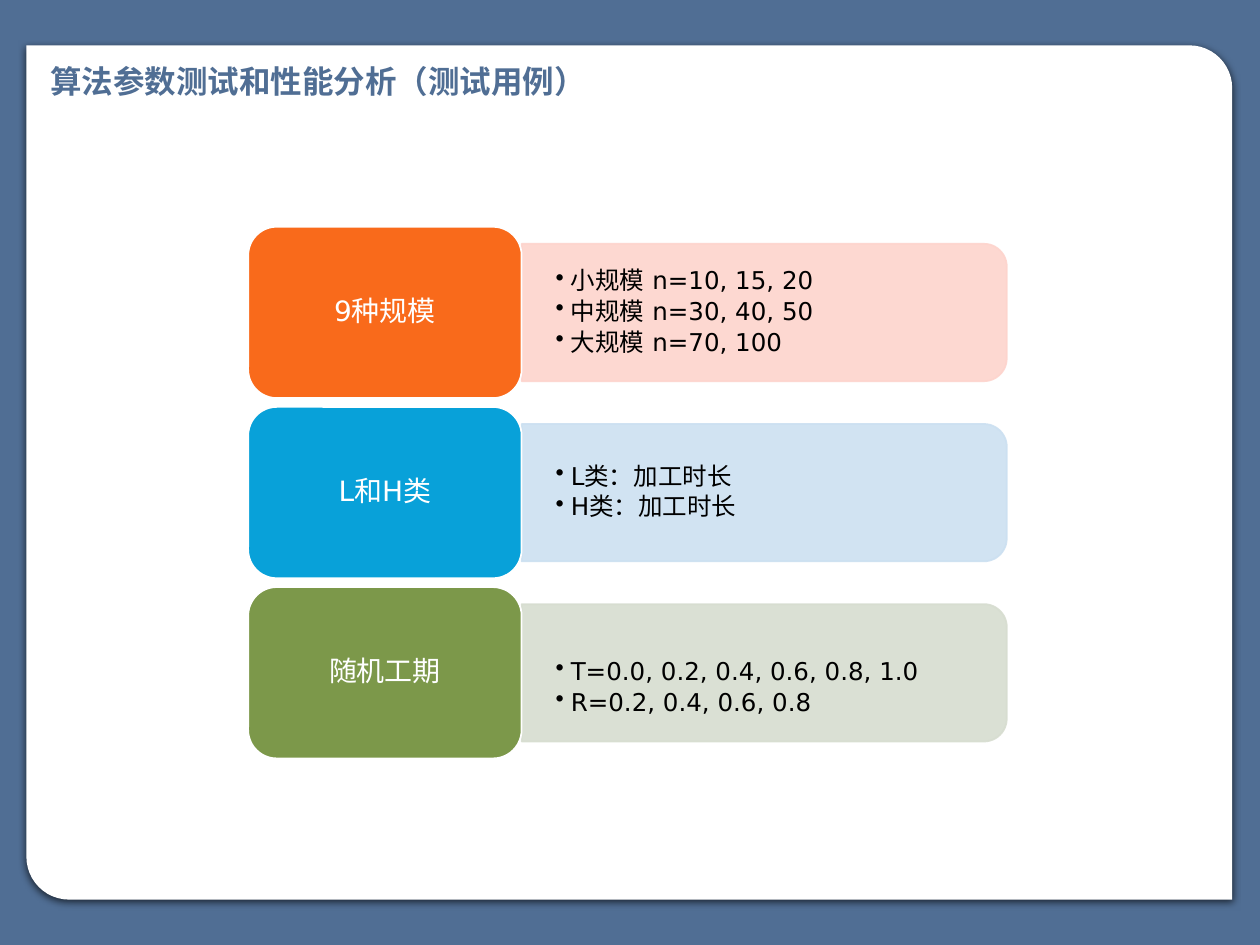
from dataclasses import dataclass

from lxml import etree
from pptx import Presentation
from pptx.dml.color import RGBColor
from pptx.enum.shapes import MSO_SHAPE
from pptx.enum.text import MSO_ANCHOR, MSO_AUTO_SIZE, PP_ALIGN
from pptx.oxml.ns import qn
from pptx.util import Inches, Pt

SHEET_SHAPE = MSO_SHAPE.ROUND_2_DIAG_RECTANGLE
PANEL_SHAPE = MSO_SHAPE.ROUND_2_SAME_RECTANGLE
CARD_SHAPE = MSO_SHAPE.ROUNDED_RECTANGLE
MIDDLE = MSO_ANCHOR.MIDDLE
TOP = MSO_ANCHOR.TOP
LEFT = PP_ALIGN.LEFT
CENTER = PP_ALIGN.CENTER
FIT_SHAPE = MSO_AUTO_SIZE.SHAPE_TO_FIT_TEXT
TITLE_ONLY = 5


@dataclass(frozen=True)
class Theme:
    font: str = "DejaVu Sans"
    slate: str = "506E94"
    white: str = "FFFFFF"
    black: str = "000000"
    title_size: int = 18
    card_size: int = 16
    list_size: int = 14
    panel_opacity: int = 90
    shadow_opacity: int = 63


@dataclass(frozen=True)
class TestGroup:
    label: str
    color: str
    tint: str
    items: tuple
    list_drop: float = 0


GROUPS = (
    TestGroup("9种规模", "F96A1B", "FDD4CD",
              ("小规模 n=10, 15, 20", "中规模 n=30, 40, 50", "大规模 n=70, 100")),
    TestGroup("L和H类", "08A1D9", "CCE0F1", ("L类：加工时长", "H类：加工时长")),
    TestGroup("随机工期", "7C984A", "D7DDD0",
              ("T=0.0, 0.2, 0.4, 0.6, 0.8, 1.0", "R=0.2, 0.4, 0.6, 0.8"), 0.12),
)

CARD_LEFT, CARD_TOP = 1.97, 1.8
CARD_WIDTH, CARD_HEIGHT = 2.17, 1.36
ROW_PITCH = 1.43
PANEL_WIDTH, PANEL_HEIGHT = 3.85, 1.09
LIST_WIDTH, LIST_HEIGHT = 3.8, 0.98


class SlideBuilder:
    def __init__(self, slide, theme):
        self.slide = slide
        self.theme = theme

    def background(self):
        fill = self.slide.background.fill
        fill.solid()
        fill.fore_color.rgb = RGBColor.from_string(self.theme.slate)

    def shape(self, kind, left, top, width, height, color, line=None):
        shape = self.slide.shapes.add_shape(
            kind, Inches(left), Inches(top), Inches(width), Inches(height))
        shape.shadow.inherit = False
        shape.fill.solid()
        shape.fill.fore_color.rgb = RGBColor.from_string(color)
        if line:
            shape.line.color.rgb = RGBColor.from_string(line)
            shape.line.width = Pt(1)
        else:
            shape.line.fill.background()
        return shape

    def set_opacity(self, color, percent):
        etree.SubElement(color, qn("a:alpha"), val=str(percent * 1000))

    def sheet(self, left, top, width, height):
        sheet = self.shape(SHEET_SHAPE, left, top, width, height, self.theme.white)
        sheet.adjustments[0] = 0
        sheet.adjustments[1] = 0.05
        effects = sheet.element.spPr.find(qn("a:effectLst"))
        shadow = etree.SubElement(
            effects, qn("a:outerShdw"), blurRad=str(Pt(4.5)), dist=str(Pt(1.5)),
            dir="5400000", rotWithShape="0")
        color = etree.SubElement(shadow, qn("a:srgbClr"), val=self.theme.black)
        self.set_opacity(color, self.theme.shadow_opacity)

    def run(self, paragraph, text, size, color, bold=False):
        run = paragraph.add_run()
        run.text = text
        run.font.name = self.theme.font
        run.font.size = Pt(size)
        run.font.bold = bold
        run.font.color.rgb = RGBColor.from_string(color)
        etree.SubElement(run.font._element, qn("a:ea"), typeface=self.theme.font)

    def frame(self, shape, side, edge, anchor=MIDDLE, wrap=True):
        frame = shape.text_frame
        frame.word_wrap = wrap
        frame.vertical_anchor = anchor
        frame.margin_left = frame.margin_right = Inches(side)
        frame.margin_top = frame.margin_bottom = Inches(edge)
        return frame

    def title(self, text, left, top, width, height):
        title = self.slide.shapes.title
        title.left, title.top = Inches(left), Inches(top)
        title.width, title.height = Inches(width), Inches(height)
        self.slide.shapes.element.append(title.element)
        frame = self.frame(title, 0.1, 0.05, TOP, wrap=False)
        frame.auto_size = FIT_SHAPE
        paragraph = frame.paragraphs[0]
        paragraph.alignment = LEFT
        self.run(paragraph, text, self.theme.title_size, self.theme.slate, bold=True)

    def panel(self, left, middle, tint):
        panel = self.shape(
            PANEL_SHAPE, left + (PANEL_WIDTH - PANEL_HEIGHT) / 2,
            middle - PANEL_WIDTH / 2, PANEL_HEIGHT, PANEL_WIDTH, tint, tint)
        panel.rotation = 90
        for color in panel.element.spPr.iter(qn("a:srgbClr")):
            self.set_opacity(color, self.theme.panel_opacity)

    def bullets(self, items, left, middle):
        box = self.slide.shapes.add_textbox(
            Inches(left), Inches(middle - LIST_HEIGHT / 2),
            Inches(LIST_WIDTH), Inches(LIST_HEIGHT))
        frame = self.frame(box, 0.27, 0.14)
        for index, item in enumerate(items):
            paragraph = frame.add_paragraph() if index else frame.paragraphs[0]
            paragraph.level = 1
            paragraph.line_spacing = 0.9
            paragraph.space_after = Pt(2.4)
            properties = paragraph._p.get_or_add_pPr()
            properties.set("marL", str(Inches(0.12)))
            properties.set("indent", str(Inches(-0.12)))
            etree.SubElement(properties, qn("a:buChar"), char="•")
            self.run(paragraph, item, self.theme.list_size, self.theme.black)

    def card(self, label, top, color):
        card = self.shape(CARD_SHAPE, CARD_LEFT, top, CARD_WIDTH, CARD_HEIGHT,
                          color, self.theme.white)
        paragraph = self.frame(card, 0.07, 0.03).paragraphs[0]
        paragraph.alignment = CENTER
        paragraph.line_spacing = 0.9
        self.run(paragraph, label, self.theme.card_size, self.theme.white)

    def group(self, group, top):
        middle = top + CARD_HEIGHT / 2
        list_left = CARD_LEFT + CARD_WIDTH
        self.panel(list_left, middle, group.tint)
        self.bullets(group.items, list_left, middle + group.list_drop)
        self.card(group.label, top, group.color)


def main():
    deck = Presentation()
    deck.slide_width, deck.slide_height = Inches(10), Inches(7.5)
    slide = deck.slides.add_slide(deck.slide_layouts[TITLE_ONLY])
    builder = SlideBuilder(slide, Theme())
    builder.background()
    builder.sheet(0.21, 0.36, 9.57, 6.78)
    builder.title("算法参数测试和性能分析（测试用例）", 0.3, 0.44, 4.68, 0.4)
    for row, group in enumerate(GROUPS):
        builder.group(group, CARD_TOP + row * ROW_PITCH)
    deck.save("out.pptx")


if __name__ == "__main__":
    main()
